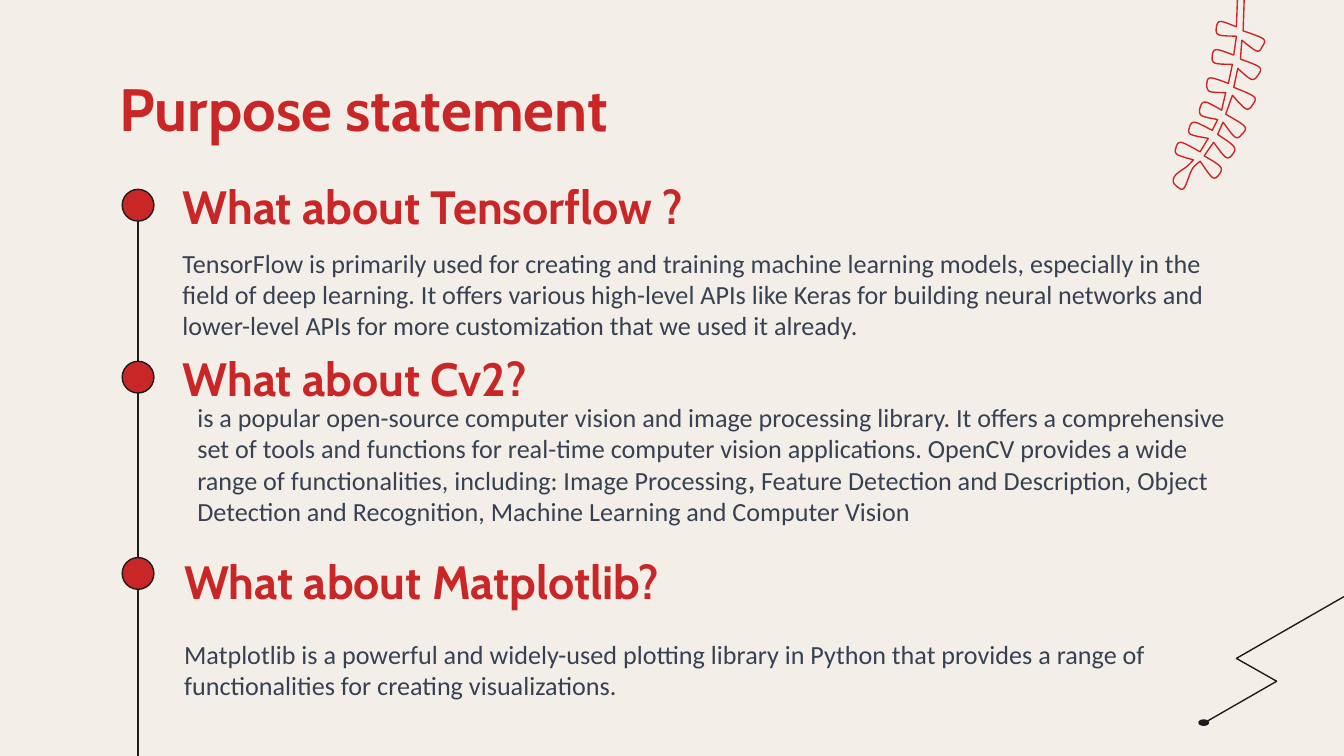
from pptx import Presentation
from pptx.dml.color import RGBColor
from pptx.enum.shapes import MSO_CONNECTOR, MSO_SHAPE
from pptx.enum.text import MSO_ANCHOR, MSO_AUTO_SIZE, PP_ALIGN
from pptx.oxml.ns import qn
from pptx.util import Cm, Pt

STRAIGHT, OVAL = MSO_CONNECTOR.STRAIGHT, MSO_SHAPE.OVAL
TOP, MIDDLE, BOTTOM = MSO_ANCHOR.TOP, MSO_ANCHOR.MIDDLE, MSO_ANCHOR.BOTTOM
LEFT, NO_FIT = PP_ALIGN.LEFT, MSO_AUTO_SIZE.NONE

CREAM, RED, INK, SLATE = "F4EEE9", "C92727", "1E1B1C", "374151"
PAGE_WIDTH, PAGE_HEIGHT = 25.4, 14.29
TEXT_WIDTH, HEADING_HEIGHT, BODY_HEIGHT = 20.22, 1.09, 1.75
DOT_LEFT, DOT_SIZE = 2.31, 0.6
DRAWING_UNIT = Cm(0.0254)  # freeform points count hundredths of an inch

# heading, (left, top) of heading, body spans as (text, bold), (left, top) of body, dot top
SECTIONS = [
    ("What about Tensorflow ?", (3.2, 3.33),
     [("TensorFlow is primarily used for creating and training machine learning models, "
       "especially in the field of deep learning. It offers various high-level APIs like "
       "Keras for building neural networks and lower-level APIs for more customization "
       "that we used it already.", False)], (3.2, 4.42), 3.58),
    ("What about Cv2?", (3.2, 6.58),
     [("is a popular open-source computer vision and image processing library. It offers a "
       "comprehensive set of tools and functions for real-time computer vision applications. "
       "OpenCV provides a wide range of functionalities, including: Image Processing", False),
      (", ", True),
      ("Feature Detection and Description, Object Detection and Recognition, "
       "Machine Learning and Computer Vision", False)], (3.48, 7.34), 6.83),
    ("What about Matplotlib?", (3.23, 10.41),
     [("Matplotlib is a powerful and widely-used plotting library in Python that provides "
       "a range of functionalities for creating visualizations.", False)],
     (3.23, 11.81), 10.54),
]

# Each leaf is a smooth curve; the leaves meet at sharp corners along the stem.
LEAVES_UP_LEFT = [
    [(896, 116), (908, 124), (907, 130), (902, 132), (893, 120)],
    [(893, 120), (887, 126), (881, 140), (876, 139), (873, 135), (875, 130),
     (883, 124), (888, 119)],
    [(888, 119), (876, 115), (875, 110), (879, 106), (893, 113)],
    [(899, 103), (886, 100), (885, 95), (889, 91), (902, 97)],
    [(906, 89), (894, 86), (893, 80), (897, 76), (909, 82)],
    [(912, 69), (900, 68), (898, 62), (901, 58), (914, 62)],
    [(917, 48), (904, 47), (902, 42), (905, 37), (918, 41)],
    [(920, 27), (907, 26), (905, 21), (908, 16), (920, 20)],
]
STEM_END = [(921, -8), (926, -8)]
LEAVES_DOWN_RIGHT = [
    [(925, 23), (940, 29), (939, 35), (935, 38), (924, 30)],
    [(923, 44), (937, 50), (936, 56), (931, 59), (921, 51)],
    [(918, 65), (933, 72), (932, 78), (927, 81), (917, 71)],
    [(912, 85), (926, 94), (924, 100), (919, 102), (910, 91)],
    [(906, 100), (918, 109), (917, 115), (912, 117), (903, 106)],
]
ZIGZAG = [(896, 538), (950, 507), (920, 490), (1000, 444)]


def color(hex_code):
    return RGBColor.from_string(hex_code)


def set_line(shape, hex_code):
    shape.line.color.rgb = color(hex_code)
    shape.line.width = Pt(0.75)


def place(shape, left, top, width, height):
    shape.left, shape.top, shape.width, shape.height = map(Cm, (left, top, width, height))


def write(box, spans, font, size, hex_code, anchor, inset=0.25):
    """Fill a box with one left-aligned paragraph of (text, bold) spans."""
    frame = box.text_frame
    frame.word_wrap, frame.auto_size = True, NO_FIT
    frame.vertical_anchor = anchor
    frame.margin_left = frame.margin_right = Cm(0.25)
    frame.margin_top = frame.margin_bottom = Cm(inset)
    para = frame.paragraphs[0]
    para.alignment = LEFT
    para.font.name, para.font.size = font, Pt(size)
    para.font.color.rgb = color(hex_code)
    for text, bold in spans:
        span = para.add_run()
        span.text, span.font.bold = text, bold


def add_title(page, text):
    title = page.shapes.title
    place(title, 2.01, 1.24, 21.41, 1.6)
    write(title, [(text, True)], "Cabin", 32, RED, MIDDLE)


def add_text(page, position, height, *style, **options):
    box = page.shapes.add_textbox(*map(Cm, (*position, TEXT_WIDTH, height)))
    write(box, *style, **options)


def add_dot(page, left, top, width, height, fill):
    dot = page.shapes.add_shape(OVAL, *map(Cm, (left, top, width, height)))
    dot.shadow.inherit = False
    dot.fill.solid()
    dot.fill.fore_color.rgb = color(fill)
    set_line(dot, INK)


def add_timeline_line(page, top, bottom):
    x = DOT_LEFT + DOT_SIZE / 2
    line = page.shapes.add_connector(STRAIGHT, *map(Cm, (x, top, x, bottom)))
    line._element.spPr.append(line._element.makeelement(qn("a:effectLst"), {}))
    set_line(line, INK)


def smooth(points, steps=8):
    """Sample a Catmull-Rom curve through the points."""
    padded = [points[0], *points, points[-1]]
    curve = [points[0]]
    for a, b, c, d in zip(padded, padded[1:], padded[2:], padded[3:]):
        for step in range(1, steps + 1):
            t = step / steps
            curve.append(tuple(
                (2 * q + (r - p) * t + (2 * p - 5 * q + 4 * r - s) * t ** 2
                 + (3 * q - p - 3 * r + s) * t ** 3) / 2
                for p, q, r, s in zip(a, b, c, d)))
    return curve


def add_outline(page, points, hex_code, close):
    scale = 100  # keeps curve samples precise as whole numbers
    points = [(round(x * scale), round(y * scale)) for x, y in points]
    builder = page.shapes.build_freeform(*points[0], scale=DRAWING_UNIT / scale)
    builder.add_line_segments(points[1:], close=close)
    outline = builder.convert_to_shape()
    outline.shadow.inherit = False
    outline.fill.background()
    set_line(outline, hex_code)


def add_branch(page):
    points = []
    for leaf in LEAVES_UP_LEFT:
        points += smooth(leaf)
    points += STEM_END
    for leaf in LEAVES_DOWN_RIGHT:
        points += smooth(leaf)
    add_outline(page, points, RED, close=True)


def main():
    deck = Presentation()
    deck.slide_width, deck.slide_height = Cm(PAGE_WIDTH), Cm(PAGE_HEIGHT)
    page = deck.slides.add_slide(deck.slide_layouts.get_by_name("Title Only"))
    page.background.fill.solid()
    page.background.fill.fore_color.rgb = color(CREAM)

    add_title(page, "Purpose statement")
    line_ends = [section[-1] for section in SECTIONS[1:]] + [PAGE_HEIGHT]
    for section, line_end in zip(SECTIONS, line_ends):
        heading, heading_position, body, body_position, dot_top = section
        add_text(page, heading_position, HEADING_HEIGHT, [(heading, True)],
                 "Cabin", 25, RED, BOTTOM, inset=0)
        add_text(page, body_position, BODY_HEIGHT, body, "Calibri", 14, SLATE, TOP)
        add_dot(page, DOT_LEFT, dot_top, DOT_SIZE, DOT_SIZE, RED)
        add_timeline_line(page, dot_top + DOT_SIZE, line_end)

    add_outline(page, ZIGZAG, INK, close=False)
    add_dot(page, 22.66, 13.61, 0.18, 0.1, INK)
    add_branch(page)
    deck.save("out.pptx")


if __name__ == "__main__":
    main()
